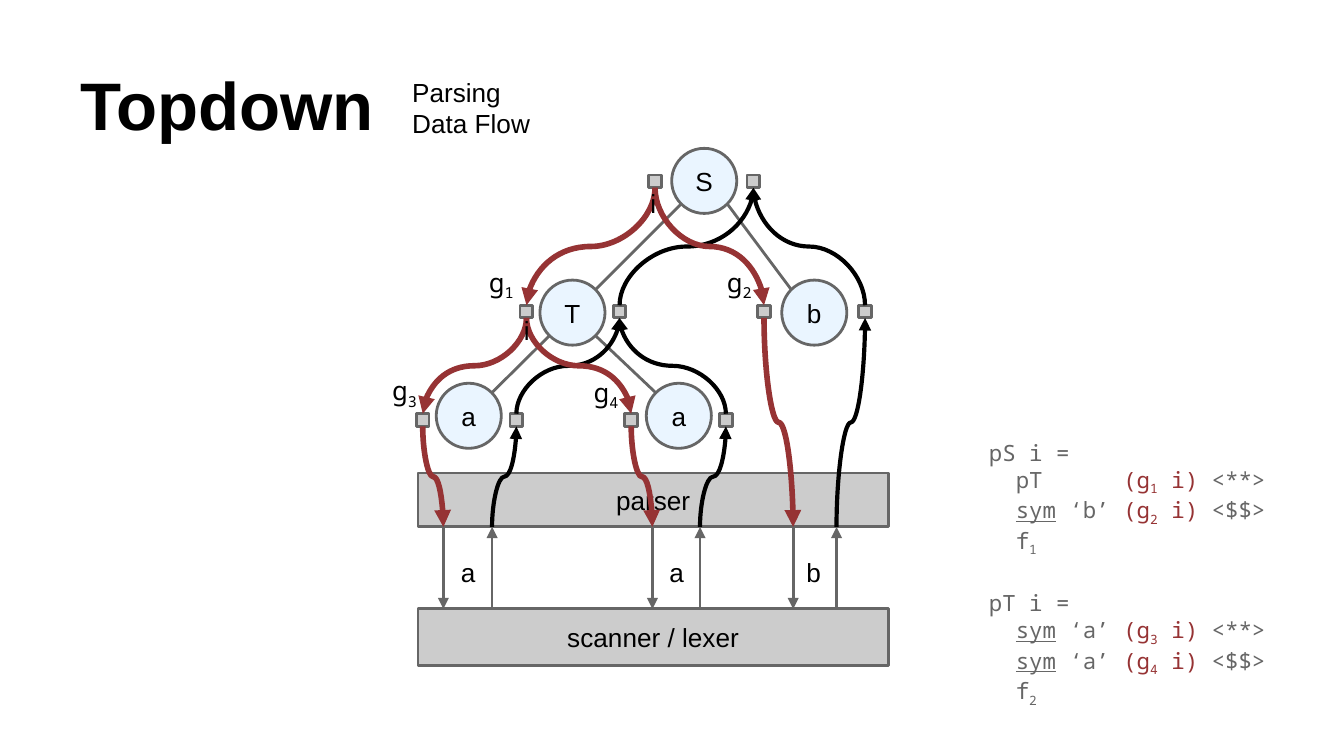
from collections import namedtuple

from lxml import etree
from pptx import Presentation
from pptx.dml.color import RGBColor
from pptx.enum.shapes import MSO_CONNECTOR, MSO_SHAPE
from pptx.enum.text import MSO_ANCHOR, PP_ALIGN
from pptx.oxml.ns import qn
from pptx.util import Cm, Pt

STRAIGHT, CURVE = MSO_CONNECTOR.STRAIGHT, MSO_CONNECTOR.CURVE
RECTANGLE, OVAL = MSO_SHAPE.RECTANGLE, MSO_SHAPE.OVAL
TOP, MIDDLE, BOTTOM = MSO_ANCHOR.TOP, MSO_ANCHOR.MIDDLE, MSO_ANCHOR.BOTTOM
LEFT, CENTER = PP_ALIGN.LEFT, PP_ALIGN.CENTER

BLACK, GRAY, LIGHT, PALE, RED = "000000", "666666", "CCCCCC", "EAF5FF", "963334"
TITLE = {"name": "Arial", "size": Pt(36), "bold": True}
BODY = {"name": "Arial", "size": Pt(14)}
GRAMMAR = {"name": "Noto Sans Mono", "size": Pt(14)}
CODE = {"name": "Noto Sans Mono", "size": Pt(12)}
SYMBOL = {**CODE, "underline": True}

DIAMETER, PORT = 1.23, 0.24
PARSER_TOP, PARSER_HEIGHT = 6.44, 1.02
LEXER_TOP, LEXER_HEIGHT = 9.01, 1.07
BAR_LEFT, BAR_WIDTH = 0.9, 8.89

Box = namedtuple("Box", "left top width height")
Run = namedtuple("Run", "text style color subscript", defaults=(BODY, BLACK, False))
Node = namedtuple("Node", "label x y entry exit port_y")
Token = namedtuple("Token", "node down up label_left")

NODES = {
    "S": Node("S", 6.31, 0.92, 5.38, 7.24, 0.93),
    "T": Node("T", 3.82, 3.41, 2.95, 4.71, 3.39),
    "b": Node("b", 8.39, 3.41, 7.44, 9.35, 3.39),
    "a1": Node("a", 1.86, 5.36, 0.99, 2.76, 5.44),
    "a2": Node("a", 5.83, 5.36, 4.93, 6.72, 5.44),
}
BRANCHES = [("S", "T"), ("S", "b"), ("T", "a1"), ("T", "a2")]
TOKENS = [
    Token("a1", 1.38, 2.3, 1.46),
    Token("a2", 5.33, 6.23, 5.4),
    Token("b", 7.99, 8.81, 7.99),
]
RULE_LABELS = [("1", 1.99, 2.28), ("2", 6.49, 2.28), ("3", 0.16, 4.33), ("4", 3.97, 4.36)]
INPUT_LABELS = [(5.04, 0.8), (2.65, 3.19)]


def rgb(value):
    return RGBColor.from_string(value)


def write(text_frame, paragraphs, anchor=TOP, alignment=LEFT):
    frame_format = {"word_wrap": True, "vertical_anchor": anchor}
    for side in ("left", "top", "right", "bottom"):
        frame_format[f"margin_{side}"] = Cm(0.25)
    for name, value in frame_format.items():
        setattr(text_frame, name, value)
    for index, runs in enumerate(paragraphs):
        paragraph = text_frame.add_paragraph() if index else text_frame.paragraphs[0]
        paragraph.alignment = alignment
        for part in runs:
            run = paragraph.add_run()
            run.text = part.text
            for name, value in part.style.items():
                setattr(run.font, name, value)
            run.font.color.rgb = rgb(part.color)
            if part.subscript:
                run.font._element.set("baseline", "-25000")


def add_text(slide, box, paragraphs, anchor=TOP):
    text_box = slide.shapes.add_textbox(*map(Cm, box))
    write(text_box.text_frame, paragraphs, anchor)
    return text_box.text_frame


def add_block(slide, kind, box, fill, label=None):
    shape = slide.shapes.add_shape(kind, *map(Cm, box))
    shape.shadow.inherit = False
    shape.fill.solid()
    shape.fill.fore_color.rgb = rgb(fill)
    shape.line.color.rgb = rgb(GRAY)
    shape.line.width = Pt(1.5)
    if label:
        write(shape.text_frame, [[Run(label)]], MIDDLE, CENTER)


def style_line(connector, color, width, arrow):
    connector.line.color.rgb = rgb(color)
    connector.line.width = Pt(width)
    if arrow:
        etree.SubElement(connector.line._get_or_add_ln(), qn("a:tailEnd"), type="triangle")
    etree.SubElement(connector._element.spPr, qn("a:effectLst"))


def add_line(slide, start, end, arrow=False):
    connector = slide.shapes.add_connector(STRAIGHT, *map(Cm, start + end))
    style_line(connector, GRAY, 1.5, arrow)


def add_flow(slide, start, end, color, width):
    across, down = end[0] - start[0], end[1] - start[1]
    center_x, center_y = start[0] + across / 2, start[1] + down / 2
    half_width, half_height = abs(down) / 2, abs(across) / 2
    corners = (center_x - half_width, center_y - half_height,
               center_x + half_width, center_y + half_height)
    connector = slide.shapes.add_connector(CURVE, *map(Cm, corners))
    transform = connector._element.spPr.find(qn("a:xfrm"))
    transform.set("rot", str((270 if across > 0 else 90) * 60000))
    if (across > 0) == (down > 0):
        transform.set("flipH", "1")
    style_line(connector, color, width, True)


def add_heading(slide, box):
    add_text(slide, Box(box.left, box.top, 6.32, 2.39), [[Run("Topdown", TITLE)]], BOTTOM)
    add_text(slide, Box(box.left + 6.27, box.top + 0.61, 4.32, 1.6),
             [[Run("Parsing")], [Run("Data Flow")]])


def add_diagram(slide, box):
    def at(x, y):
        return box.left + x, box.top + y

    def area(x, y, width, height):
        return Box(*at(x, y), width, height)

    def centered(x, y, size):
        return area(x - size / 2, y - size / 2, size, size)

    parser_bottom = PARSER_TOP + PARSER_HEIGHT
    for label, top, height in (("parser", PARSER_TOP, PARSER_HEIGHT),
                               ("scanner / lexer", LEXER_TOP, LEXER_HEIGHT)):
        add_block(slide, RECTANGLE, area(BAR_LEFT, top, BAR_WIDTH, height), LIGHT, label)

    for node in NODES.values():
        add_block(slide, OVAL, centered(node.x, node.y, DIAMETER), PALE, node.label)
        for port_x in (node.entry, node.exit):
            add_block(slide, RECTANGLE, centered(port_x, node.port_y, PORT), LIGHT)

    reach = DIAMETER / 2 * 0.71
    pairs = [(NODES[parent], NODES[child]) for parent, child in BRANCHES]
    for parent, child in pairs:
        shift = reach if child.x > parent.x else -reach
        add_line(slide, at(parent.x + shift, parent.y + reach),
                 at(child.x - shift, child.y - reach))

    for token in TOKENS:
        add_text(slide, area(token.label_left, 7.76, 0.84, 1.02), [[Run(NODES[token.node].label)]])
        add_line(slide, at(token.down, parser_bottom), at(token.down, LEXER_TOP), True)
        add_line(slide, at(token.up, LEXER_TOP), at(token.up, parser_bottom), True)

    half = PORT / 2
    for parent, child in pairs:
        add_flow(slide, at(child.exit, child.port_y - half),
                 at(parent.exit, parent.port_y + half), BLACK, 2.25)
    for token in TOKENS:
        leaf = NODES[token.node]
        add_flow(slide, at(token.up, parser_bottom), at(leaf.exit, leaf.port_y + half), BLACK, 2.25)
        add_flow(slide, at(leaf.entry, leaf.port_y + half), at(token.down, parser_bottom), RED, 3)
    for parent, child in pairs:
        add_flow(slide, at(parent.entry, parent.port_y + half),
                 at(child.entry, child.port_y - half), RED, 3)

    for number, x, y in RULE_LABELS:
        add_text(slide, area(x, y, 1.22, 1.24),
                 [[Run("g", GRAMMAR), Run(number, GRAMMAR, BLACK, True)]])
    for x, y in INPUT_LABELS:
        add_text(slide, area(x, y, 0.84, 1.02), [[Run("i")]])


def call(number, operator):
    return [Run("(g", CODE, RED), Run(number, CODE, RED, True),
            Run(" i)", CODE, RED), Run(f" {operator}", CODE, GRAY)]


def symbol(letter):
    return [Run("  ", CODE, GRAY), Run("sym", SYMBOL, GRAY), Run(f" ‘{letter}’ ", CODE, GRAY)]


def result(number):
    return [Run("  f", CODE, GRAY), Run(number, CODE, GRAY, True)]


def add_code(slide, box):
    text_frame = add_text(slide, box, [
        [Run("pS i =", CODE, GRAY)],
        [Run("  pT      ", CODE, GRAY)] + call("1", "<**>"),
        symbol("b") + call("2", "<$$>"),
        result("1"),
        [Run("pT i =", CODE, GRAY)],
        symbol("a") + call("3", "<**>"),
        symbol("a") + call("4", "<$$>"),
        result("2"),
    ])
    text_frame.paragraphs[4].space_before = Pt(17)


def main():
    presentation = Presentation()
    presentation.slide_width, presentation.slide_height = Cm(25.4), Cm(14.29)
    slide = presentation.slides.add_slide(presentation.slide_layouts[6])
    add_heading(slide, Box(1.27, 0.58, 10.6, 2.4))
    add_diagram(slide, Box(7, 2.5, 10, 10.1))
    add_code(slide, Box(18.44, 8.05, 6.32, 5.13))
    presentation.save("out.pptx")


if __name__ == "__main__":
    main()
